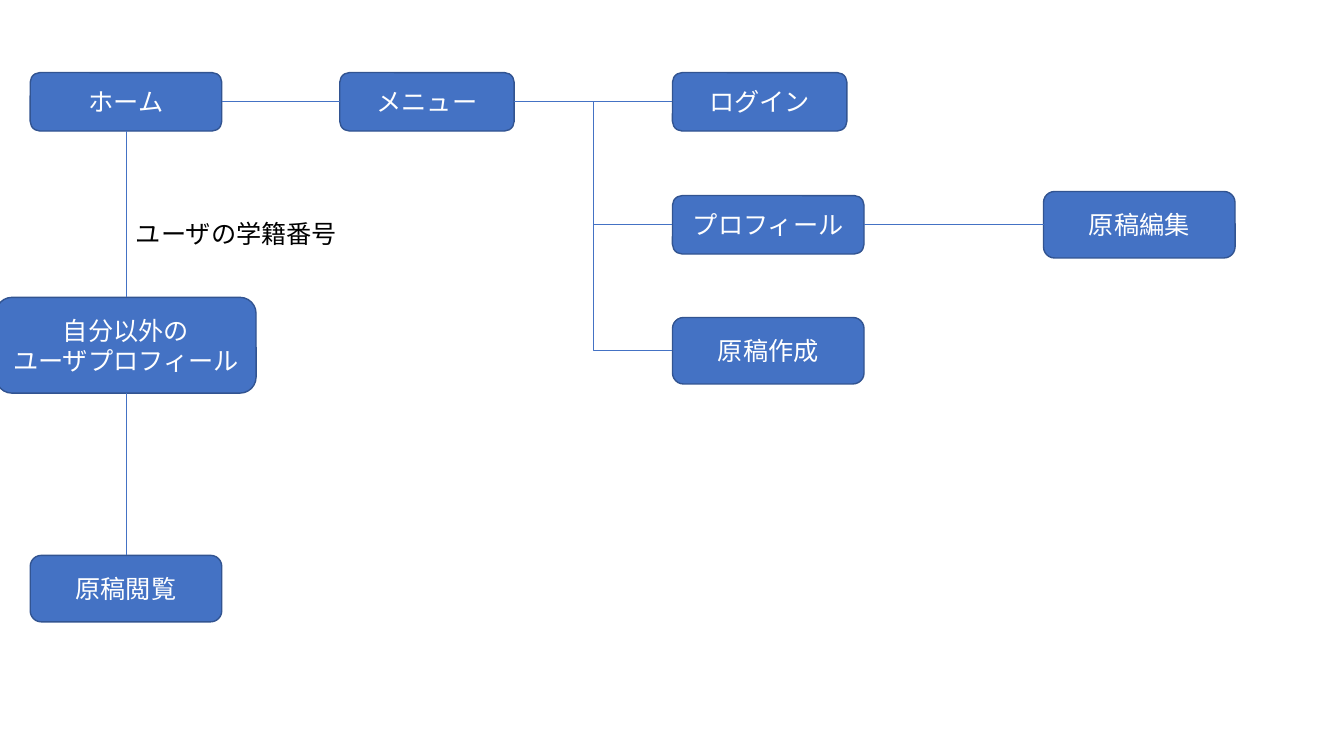
from dataclasses import dataclass

from lxml import etree
from pptx import Presentation
from pptx import util as u
from pptx.dml.color import RGBColor
from pptx.enum import shapes, text
from pptx.oxml import ns


@dataclass(frozen=True)
class Theme:
    fill: RGBColor = RGBColor(0x44, 0x72, 0xC4)
    outline: RGBColor = RGBColor(0x32, 0x54, 0x91)
    light_text: RGBColor = RGBColor(0xFF, 0xFF, 0xFF)
    dark_text: RGBColor = RGBColor(0, 0, 0)
    font: str = "Noto Sans CJK JP"
    text_size: u.Pt = u.Pt(18)
    outline_width: u.Pt = u.Pt(1)
    link_width: u.Pt = u.Pt(0.5)


THEME = Theme()
TOP, BOTTOM, LEFT, RIGHT = 0, 2, 1, 3

# Screens: name -> (text, (left, top, width, height))
SCREENS = {
    "home": ("ホーム", (0.3, 0.72, 1.9, 0.58)),
    "menu": ("メニュー", (3.37, 0.72, 1.73, 0.58)),
    "login": ("ログイン", (6.67, 0.72, 1.73, 0.58)),
    "profile": ("プロフィール", (6.67, 1.94, 1.9, 0.58)),
    "create": ("原稿作成", (6.67, 3.15, 1.9, 0.66)),
    "edit": ("原稿編集", (10.35, 1.9, 1.9, 0.66)),
    "other_user": ("自分以外の\nユーザプロフィール", (-0.04, 2.95, 2.58, 0.95)),
    "view": ("原稿閲覧", (0.3, 5.51, 1.9, 0.66)),
}

# Links: (from, side, to, side)
LINKS = [
    ("home", RIGHT, "menu", LEFT),
    ("menu", RIGHT, "login", LEFT),
    ("menu", RIGHT, "profile", LEFT),
    ("menu", RIGHT, "create", LEFT),
    ("profile", RIGHT, "edit", LEFT),
    ("home", BOTTOM, "other_user", TOP),
    ("other_user", BOTTOM, "view", TOP),
]


def write_text(frame, content, color, alignment):
    frame.word_wrap = True
    frame.text = content
    values = {"size": THEME.text_size, "name": THEME.font}
    for paragraph in frame.paragraphs:
        paragraph.alignment = alignment
        for run in paragraph.runs:
            for name, value in values.items():
                setattr(run.font, name, value)
            run.font.color.rgb = color
            east_asian = etree.SubElement(run.font._element, ns.qn("a:ea"))
            east_asian.set("typeface", THEME.font)


def add_screen(slide, content, box):
    shape = slide.shapes.add_shape(
        shapes.MSO_SHAPE.ROUNDED_RECTANGLE, *map(u.Inches, box))
    shape.shadow.inherit = False
    shape.fill.solid()
    shape.fill.fore_color.rgb = THEME.fill
    shape.line.color.rgb = THEME.outline
    shape.line.width = THEME.outline_width
    shape.text_frame.vertical_anchor = text.MSO_ANCHOR.MIDDLE
    write_text(shape.text_frame, content, THEME.light_text, text.PP_ALIGN.CENTER)
    return shape


def add_link(slide, start, start_side, end, end_side):
    # Screens in one row or column get a straight line
    start_middle = start.top + start.height // 2
    end_middle = end.top + end.height // 2
    aligned = start_side == BOTTOM or abs(start_middle - end_middle) < u.Inches(0.02)
    kind = shapes.MSO_CONNECTOR.STRAIGHT if aligned else shapes.MSO_CONNECTOR.ELBOW
    connector = slide.shapes.add_connector(kind, 0, 0, 0, 0)
    connector.begin_connect(start, start_side)
    connector.end_connect(end, end_side)
    connector.line.color.rgb = THEME.fill
    connector.line.width = THEME.link_width
    etree.SubElement(connector._element.spPr, ns.qn("a:effectLst"))


def add_label(slide, content, box):
    label = slide.shapes.add_textbox(*map(u.Inches, box))
    write_text(label.text_frame, content, THEME.dark_text, text.PP_ALIGN.LEFT)


def add_screen_map(slide):
    screens = {name: add_screen(slide, content, box)
               for name, (content, box) in SCREENS.items()}
    for start, start_side, end, end_side in LINKS:
        add_link(slide, screens[start], start_side, screens[end], end_side)
    add_label(slide, "ユーザの学籍番号", (1.25, 2.12, 2.43, 0.4))


def main():
    presentation = Presentation()
    presentation.slide_width = u.Inches(13.33)
    presentation.slide_height = u.Inches(7.5)
    slide = presentation.slides.add_slide(presentation.slide_layouts[6])
    add_screen_map(slide)
    presentation.save("out.pptx")


if __name__ == "__main__":
    main()
